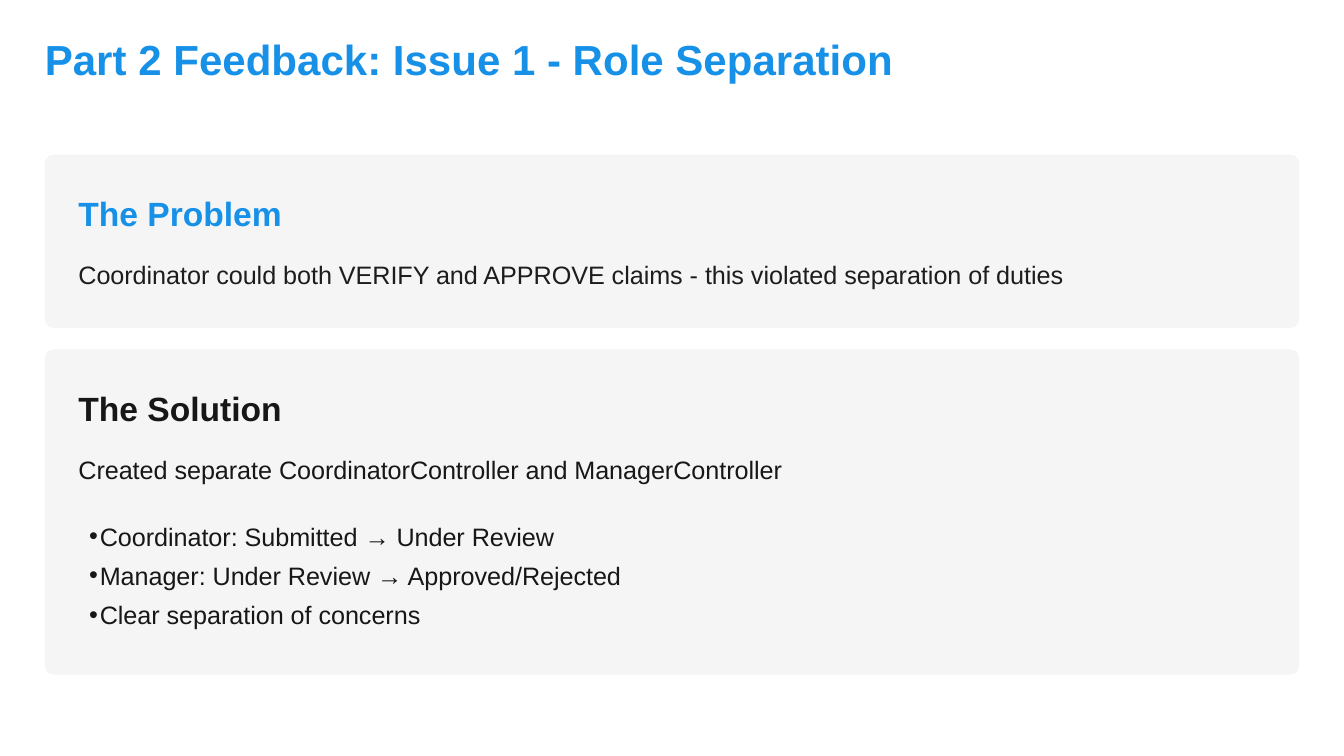
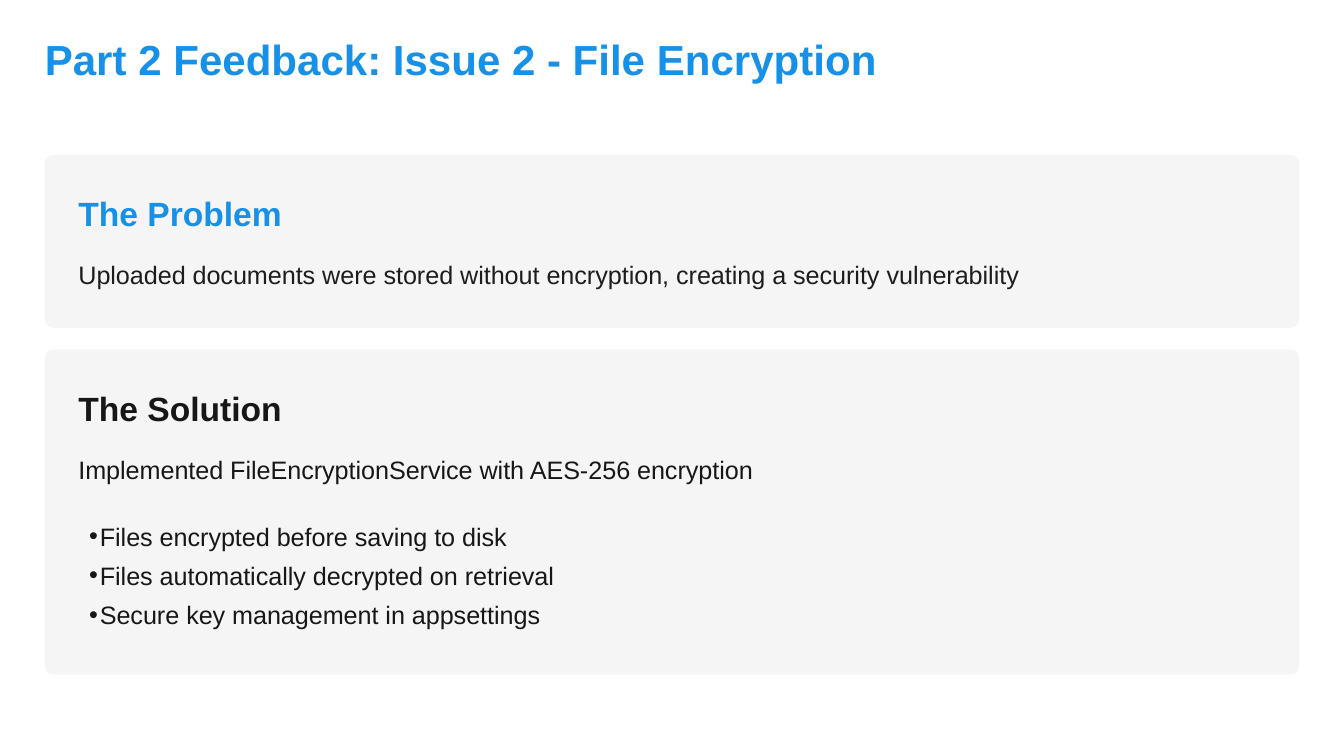
from pptx import Presentation
from pptx.dml.color import RGBColor
from pptx.enum.shapes import MSO_SHAPE
from pptx.enum.text import MSO_ANCHOR, MSO_AUTO_SIZE, PP_ALIGN
from pptx.oxml.ns import qn
from pptx.util import Inches, Pt
from lxml.etree import SubElement

# Content
ISSUES = [
    {
        "title": "Part 2 Feedback: Issue 1 - Role Separation",
        "title_width": 6.44,
        "problem": "Coordinator could both VERIFY and APPROVE claims - this violated separation of duties",
        "solution": "Created separate CoordinatorController and ManagerController",
        "points": [
            "Coordinator: Submitted → Under Review",
            "Manager: Under Review → Approved/Rejected",
            "Clear separation of concerns",
        ],
    },
    {
        "title": "Part 2 Feedback: Issue 2 - File Encryption",
        "title_width": 6.31,
        "problem": "Uploaded documents were stored without encryption, creating a security vulnerability",
        "solution": "Implemented FileEncryptionService with AES-256 encryption",
        "points": [
            "Files encrypted before saving to disk",
            "Files automatically decrypted on retrieval",
            "Secure key management in appsettings",
        ],
    },
]

# Shared style
COLORS = {"accent": "1791E8", "panel": "F5F5F5", "problem": "1D1D1D", "solution": "171717"}
FONT = "Arial"
TITLE = {"size": 22.5, "leading": 27, "bold": True}
HEADING = {"size": 18, "leading": 24, "bold": True}
BODY = {"size": 13.5, "leading": 21, "bold": False}

# Layout in inches
SLIDE_WIDTH = 10
SLIDE_HEIGHT = SLIDE_WIDTH * 9 / 16
MARGIN = 1 / 3
PANEL_WIDTH = SLIDE_WIDTH - 2 * MARGIN
PADDING = 0.25
TEXT_LEFT, TEXT_WIDTH = MARGIN + PADDING, 9.01
PROBLEM_TOP, PROBLEM_HEIGHT = 1.15, 1.29
SOLUTION_TOP, SOLUTION_HEIGHT = 2.6, 2.42
CORNER_RATIO = 1 / 15
BODY_GAP, POINTS_GAP = 0.71, 1.21
BULLET_INDENT = 0.08


def write(shape, lines, style, color, spacing=0, inset=0):
    """Fill a shape with equally styled paragraphs."""
    frame = shape.text_frame
    frame.text = "\n".join(lines)
    frame.word_wrap = True
    frame.auto_size = MSO_AUTO_SIZE.NONE
    frame.vertical_anchor = MSO_ANCHOR.TOP
    frame.margin_left = Inches(inset)
    frame.margin_top = frame.margin_right = frame.margin_bottom = 0
    for paragraph in frame.paragraphs:
        paragraph.alignment = PP_ALIGN.LEFT
        paragraph.line_spacing = Pt(style["leading"])
        paragraph.space_before = paragraph.space_after = Pt(spacing)
        for run in paragraph.runs:
            run.font.name = FONT
            run.font.size = Pt(style["size"])
            run.font.bold = style["bold"]
            run.font.color.rgb = RGBColor.from_string(COLORS[color])


def add_text(slide, top, width, height, lines, style, color, **options):
    box = slide.shapes.add_textbox(
        Inches(TEXT_LEFT), Inches(top), Inches(width), Inches(height))
    write(box, lines, style, color, **options)
    return box


def add_bullets(box):
    for paragraph in box.text_frame.paragraphs:
        properties = paragraph._p.get_or_add_pPr()
        properties.set("marL", str(Inches(BULLET_INDENT)))
        properties.set("indent", str(-Inches(BULLET_INDENT)))
        SubElement(properties, qn("a:buSzPct")).set("val", "100000")
        SubElement(properties, qn("a:buFont")).set("typeface", FONT)
        SubElement(properties, qn("a:buChar")).set("char", "•")


def add_panel(slide, top, height, heading, heading_color, body, body_color):
    """Draw a rounded panel with a heading and one line of text."""
    panel = slide.shapes.add_shape(
        MSO_SHAPE.ROUNDED_RECTANGLE,
        Inches(MARGIN), Inches(top), Inches(PANEL_WIDTH), Inches(height))
    panel.adjustments[0] = CORNER_RATIO / height
    panel.shadow.inherit = False
    panel.fill.solid()
    panel.fill.fore_color.rgb = RGBColor.from_string(COLORS["panel"])
    panel.line.fill.background()
    add_text(slide, top + PADDING, TEXT_WIDTH, 0.33, [heading], HEADING, heading_color)
    add_text(slide, top + BODY_GAP, TEXT_WIDTH, 0.29, [body], BODY, body_color, spacing=3)


def add_issue(presentation, issue):
    slide = presentation.slides.add_slide(presentation.slide_layouts[5])
    title = slide.shapes.title
    title.left, title.top = Inches(MARGIN), Inches(0.25)
    title.width, title.height = Inches(issue["title_width"]), Inches(0.38)
    write(title, [issue["title"]], TITLE, "accent")

    add_panel(slide, PROBLEM_TOP, PROBLEM_HEIGHT,
              "The Problem", "accent", issue["problem"], "problem")
    add_panel(slide, SOLUTION_TOP, SOLUTION_HEIGHT,
              "The Solution", "solution", issue["solution"], "solution")
    points = add_text(slide, SOLUTION_TOP + POINTS_GAP, 8.83, 0.96,
                      issue["points"], BODY, "solution", inset=BULLET_INDENT)
    add_bullets(points)


def main():
    presentation = Presentation()
    presentation.slide_width = Inches(SLIDE_WIDTH)
    presentation.slide_height = Inches(SLIDE_HEIGHT)
    for issue in ISSUES:
        add_issue(presentation, issue)
    presentation.save("out.pptx")


if __name__ == "__main__":
    main()
